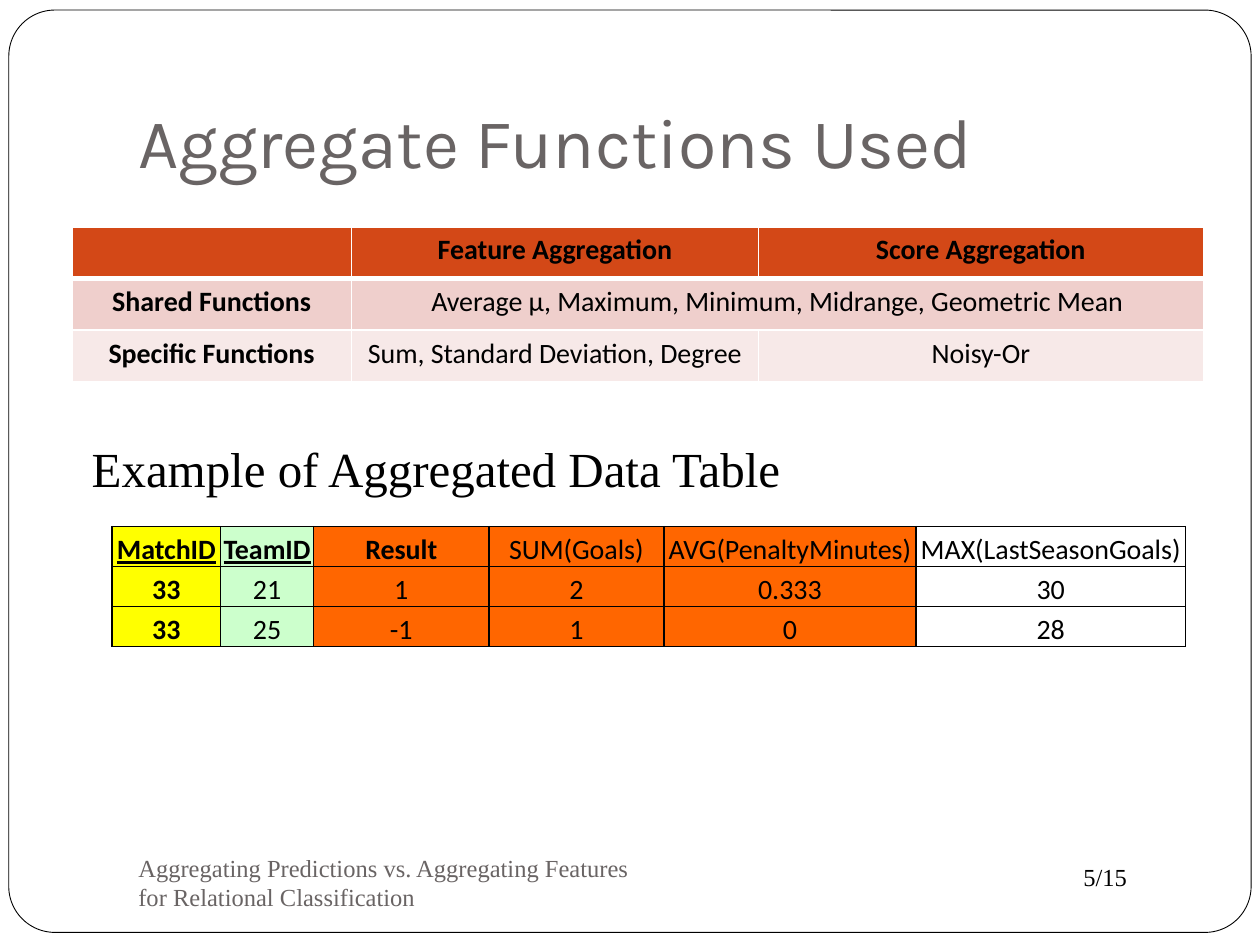
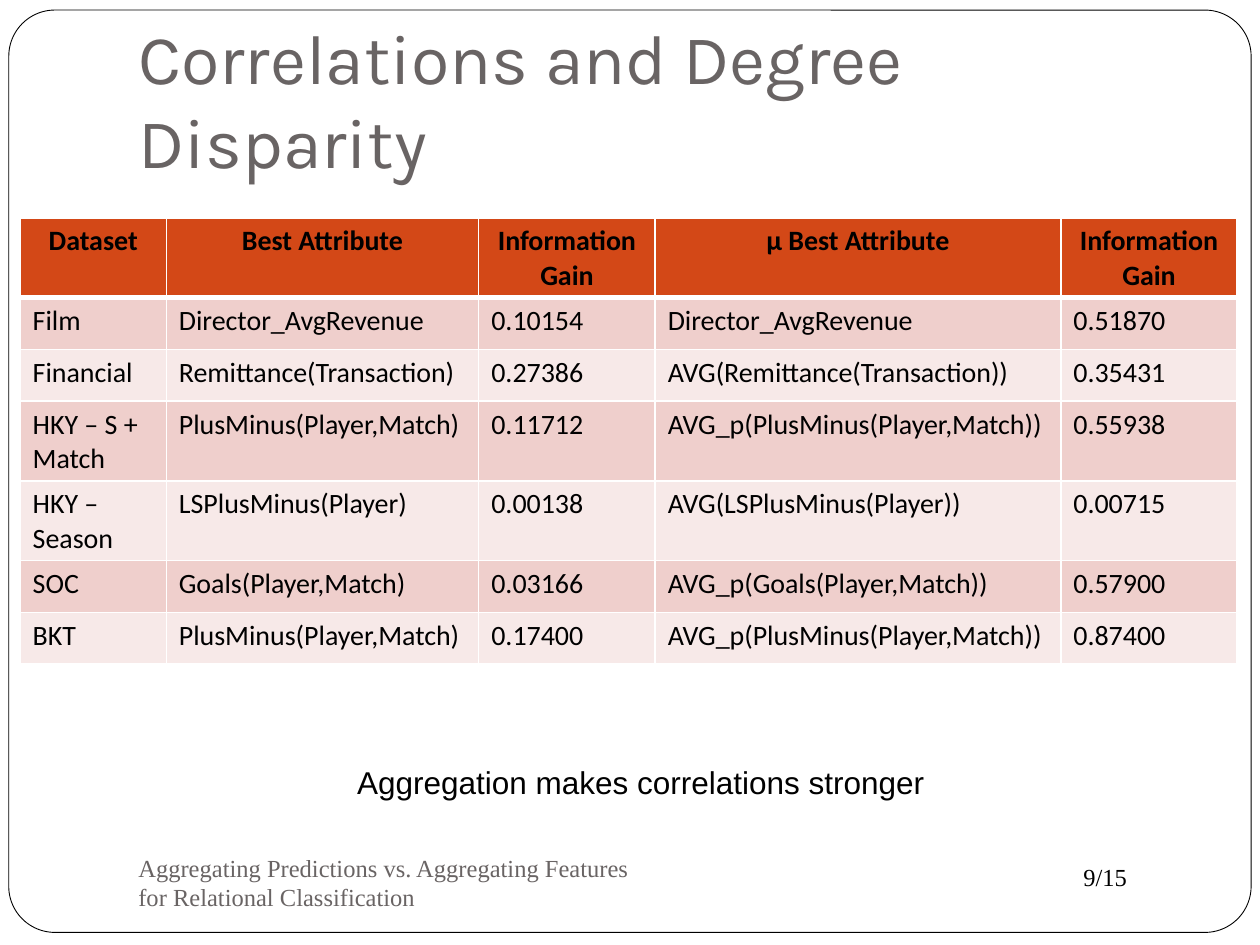
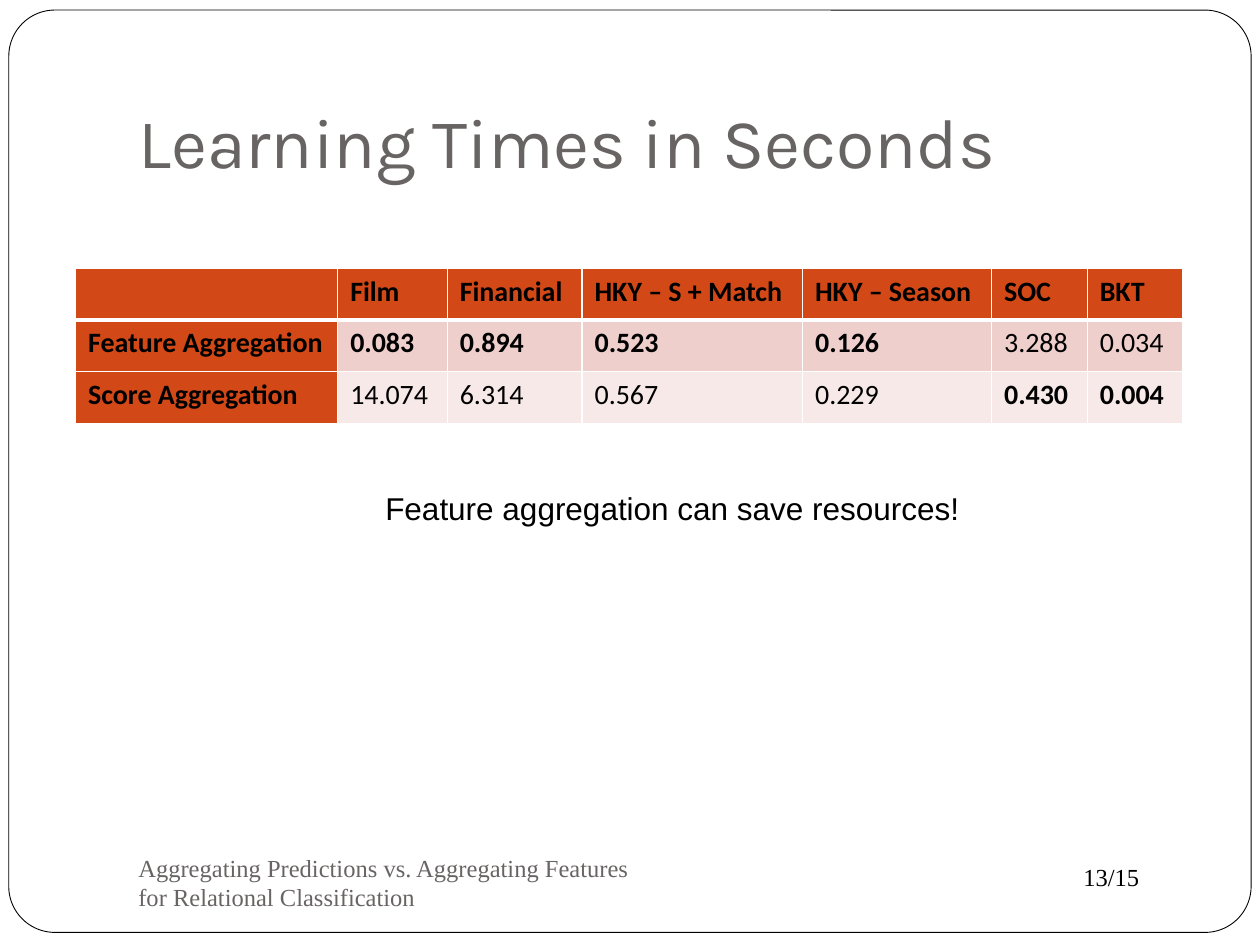
from lxml.etree import SubElement
from pptx import Presentation
from pptx.dml.color import RGBColor
from pptx.enum.shapes import MSO_SHAPE as Shape
from pptx.enum.text import MSO_ANCHOR as Anchor, MSO_AUTO_SIZE as AutoSize, PP_ALIGN as Align
from pptx.oxml.ns import qn
from pptx.util import Inches, Pt

# Shared look
BLACK, WHITE, GREY = "000000", "FFFFFF", "696464"
ORANGE, BANDS = "D34817", ("EFCFCC", "F7E9E8")
SERIF, SANS, TABLE_FONT, TITLE_FONT = "Times New Roman", "Arial", "Calibri", "Karla"
PAGE_COUNT = 15
FOOTER = "Aggregating Predictions vs. Aggregating Features for Relational Classification"

# Slide contents
FUNCTIONS = [
    ("", "Feature Aggregation", "Score Aggregation"),
    ("Shared Functions", "Average μ, Maximum, Minimum, Midrange, Geometric Mean", ""),
    ("Specific Functions", "Sum, Standard Deviation, Degree", "Noisy-Or"),
]
EXAMPLE = [
    ("MatchID", "TeamID", "Result", "SUM(Goals)", "AVG(PenaltyMinutes)", "MAX(LastSeasonGoals)"),
    ("33", "21", "1", "2", "0.333", "30"),
    ("33", "25", "-1", "1", "0", "28"),
]
EXAMPLE_FILLS = ("FFFF00", "CCFFCC", "FF6600", "FF6600", "FF6600", WHITE)
CORRELATIONS = [
    ("Dataset", "Best Attribute", "Information\nGain", "μ Best Attribute", "Information\nGain"),
    ("Film", "Director_AvgRevenue", "0.10154", "Director_AvgRevenue", "0.51870"),
    ("Financial", "Remittance(Transaction)", "0.27386", "AVG(Remittance(Transaction))", "0.35431"),
    ("HKY – S +\nMatch", "PlusMinus(Player,Match)", "0.11712",
     "AVG_p(PlusMinus(Player,Match))", "0.55938"),
    ("HKY – Season", "LSPlusMinus(Player)", "0.00138", "AVG(LSPlusMinus(Player))", "0.00715"),
    ("SOC", "Goals(Player,Match)", "0.03166", "AVG_p(Goals(Player,Match))", "0.57900"),
    ("BKT", "PlusMinus(Player,Match)", "0.17400", "AVG_p(PlusMinus(Player,Match))", "0.87400"),
]
TIMES = [
    ("", "Film", "Financial", "HKY – S + Match", "HKY – Season", "SOC", "BKT"),
    ("Feature Aggregation", "0.083", "0.894", "0.523", "0.126", "3.288", "0.034"),
    ("Score Aggregation", "14.074", "6.314", "0.567", "0.229", "0.430", "0.004"),
]


def color(value):
    return RGBColor.from_string(value)


def write(frame, text, size, font, ink=BLACK, bold=False, underline=False, align=Align.LEFT):
    for index, line in enumerate(text.split("\n")):
        para = frame.add_paragraph() if index else frame.paragraphs[0]
        para.alignment = align
        if line:
            span = para.add_run()
            span.text = line
            span.font.size, span.font.name = Pt(size), font
            span.font.bold, span.font.underline = bold, underline
            span.font.color.rgb = color(ink)


def add_text(page, place, text, size, font, ink=BLACK, align=Align.LEFT,
             anchor=Anchor.TOP, wrap=True):
    frame = page.shapes.add_textbox(*map(Inches, place)).text_frame
    frame.word_wrap, frame.vertical_anchor = wrap, anchor
    write(frame, text, size, font, ink, align=align)


def add_page(deck, title_text, number):
    page = deck.slides.add_slide(deck.slide_layouts[5])
    title = page.shapes.title
    title.left, title.top, title.width, title.height = map(Inches, (1, 0.3, 8.5, 1.25))
    frame = title.text_frame
    frame.auto_size, frame.word_wrap = AutoSize.NONE, True
    frame.vertical_anchor, frame.margin_bottom = Anchor.BOTTOM, Inches(0.1)
    write(frame, title_text, 40, TITLE_FONT, GREY)

    # Rounded border, behind the title
    border = page.shapes.add_shape(Shape.ROUNDED_RECTANGLE, *map(Inches, (0.07, 0.08, 9.86, 7.32)))
    border.adjustments[0] = 0.05
    border.shadow.inherit = False
    border.fill.solid()
    border.fill.fore_color.rgb = color(WHITE)
    border.line.color.rgb, border.line.width = color(BLACK), Pt(0.5)
    title.element.addprevious(border.element)

    add_text(page, (8.5, 6.79, 1, 0.34), f"{number}/{PAGE_COUNT}", 14, SERIF)
    add_text(page, (1, 6.75, 4.33, 0.5), FOOTER, 14, SERIF, GREY, anchor=Anchor.MIDDLE)
    return page


def style_cell(cell, fill, line_color, top=1, bottom=1):
    properties = cell._tc.get_or_add_tcPr()
    for side, width in (("L", 1), ("R", 1), ("T", top), ("B", bottom)):
        line = SubElement(properties, qn(f"a:ln{side}"), w=str(Pt(width)))
        SubElement(SubElement(line, qn("a:solidFill")), qn("a:srgbClr"), val=line_color)
    cell.fill.solid()
    cell.fill.fore_color.rgb = color(fill)


def add_grid(page, left, top, widths, heights, rows):
    """Add a plain table and return it with a list of (row, column, cell, text)."""
    table = page.shapes.add_table(len(rows), len(widths), Inches(left), Inches(top),
                                  Inches(sum(widths)), Inches(sum(heights))).table
    table.first_row = table.horz_banding = False
    for column, width in zip(table.columns, widths):
        column.width = Inches(width)
    for row, height in zip(table.rows, heights):
        row.height = Inches(height)
    return table, [(r, c, table.cell(r, c), text)
                   for r, texts in enumerate(rows) for c, text in enumerate(texts)]


def add_banded_table(page, left, top, widths, rows, is_bold, head_align, body_align,
                     side_head=False):
    table, cells = add_grid(page, left, top, widths, [0.41] * len(rows), rows)
    for r, c, cell, text in cells:
        is_head = r == 0 or (side_head and c == 0)
        style_cell(cell, ORANGE if is_head else BANDS[(r - 1) % 2], WHITE,
                   top=3 if r == 1 else 1, bottom=3 if r == 0 else 1)
        write(cell.text_frame, text, 16, TABLE_FONT, bold=r == 0 or is_bold(r, c),
              align=body_align if r else head_align)
    return table


def add_example_table(page):
    _, cells = add_grid(page, 0.89, 4.18, (0.86, 0.74, 1.39, 1.39, 2, 2.14),
                        (0.27, 0.27, 0.29), EXAMPLE)
    for r, c, cell, text in cells:
        style_cell(cell, EXAMPLE_FILLS[c], BLACK)
        cell.margin_left = cell.margin_right = cell.margin_top = Inches(0.01)
        cell.margin_bottom = 0
        cell.vertical_anchor = Anchor.BOTTOM
        write(cell.text_frame, text, 16, TABLE_FONT, bold=c == 0 or (r == 0 and c < 3),
              underline=r == 0 and c < 2, align=Align.CENTER)
        para = cell.text_frame.paragraphs[0]
        para.line_spacing, para.space_after = 1.15, Pt(10)


def is_fastest(r, c):
    return c == 0 or float(TIMES[r][c]) == min(float(row[c]) for row in TIMES[1:])


def main():
    deck = Presentation()
    deck.slide_width, deck.slide_height = Inches(10), Inches(7.5)

    # Aggregate functions
    page = add_page(deck, "Aggregate Functions Used", 5)
    table = add_banded_table(page, 0.57, 1.8, (2.22, 3.23, 3.53), FUNCTIONS,
                             lambda r, c: c == 0, Align.CENTER, Align.CENTER)
    table.cell(1, 1).merge(table.cell(1, 2))
    add_example_table(page)
    add_text(page, (0.63, 3.43, 6.8, 0.57), "Example of Aggregated Data Table", 28, SERIF)

    # Correlations
    page = add_page(deck, "Correlations and Degree Disparity", 9)
    add_banded_table(page, 0.16, 1.73, (1.16, 2.48, 1.4, 3.22, 1.4), CORRELATIONS,
                     lambda r, c: False, Align.CENTER, Align.LEFT)
    add_text(page, (0.94, 6.01, 8.29, 0.4), "Aggregation makes correlations stronger",
             18, SANS, align=Align.CENTER)

    # Learning times, the faster one in bold
    page = add_page(deck, "Learning Times in Seconds", 13)
    add_banded_table(page, 0.6, 2.13, (2.08, 0.87, 1.07, 1.75, 1.5, 0.76, 0.76), TIMES,
                     is_fastest, Align.LEFT, Align.LEFT, side_head=True)
    add_text(page, (2.96, 3.83, 4.8, 0.4), "Feature aggregation can save resources!",
             18, SANS, wrap=False)

    deck.save("out.pptx")


if __name__ == "__main__":
    main()
